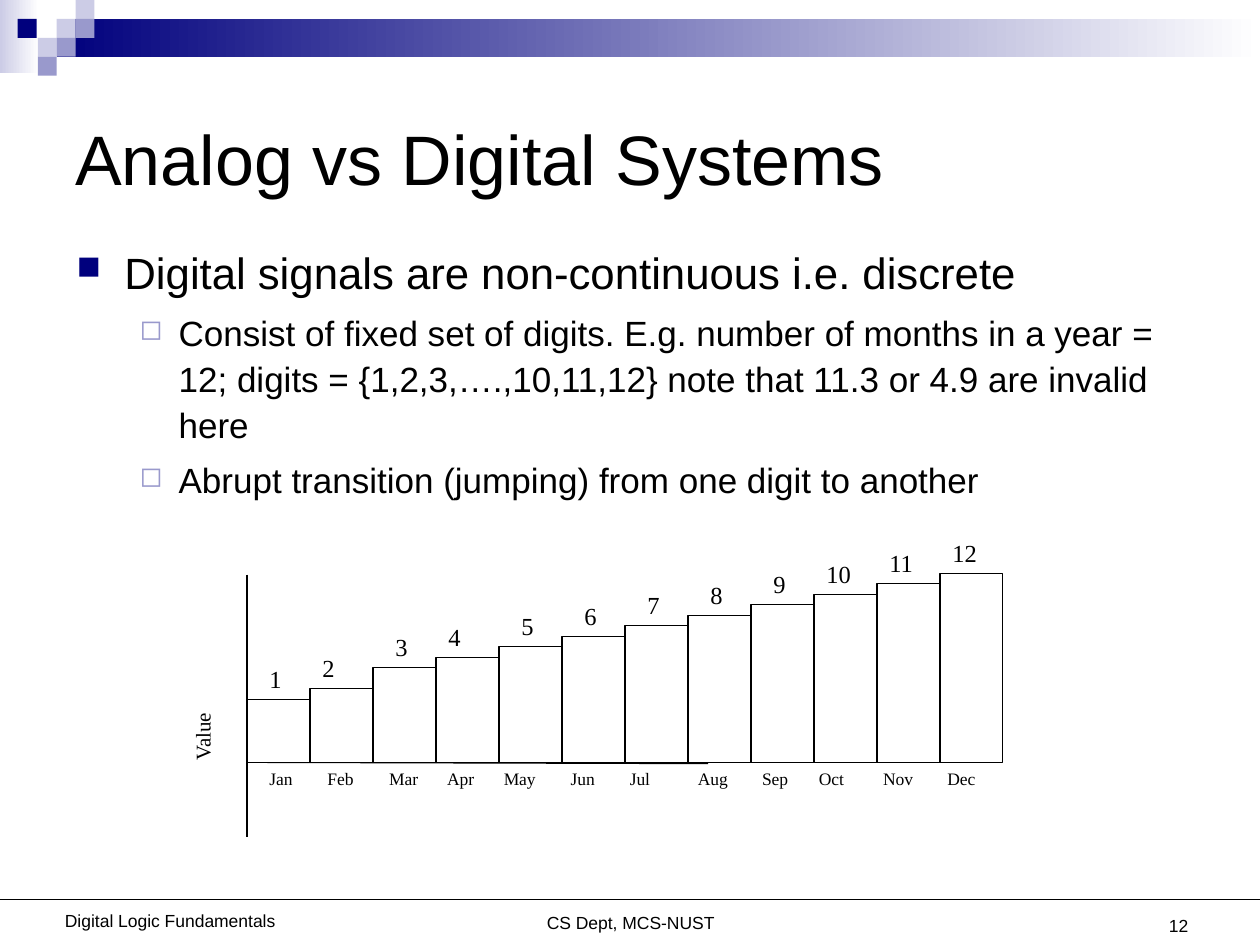
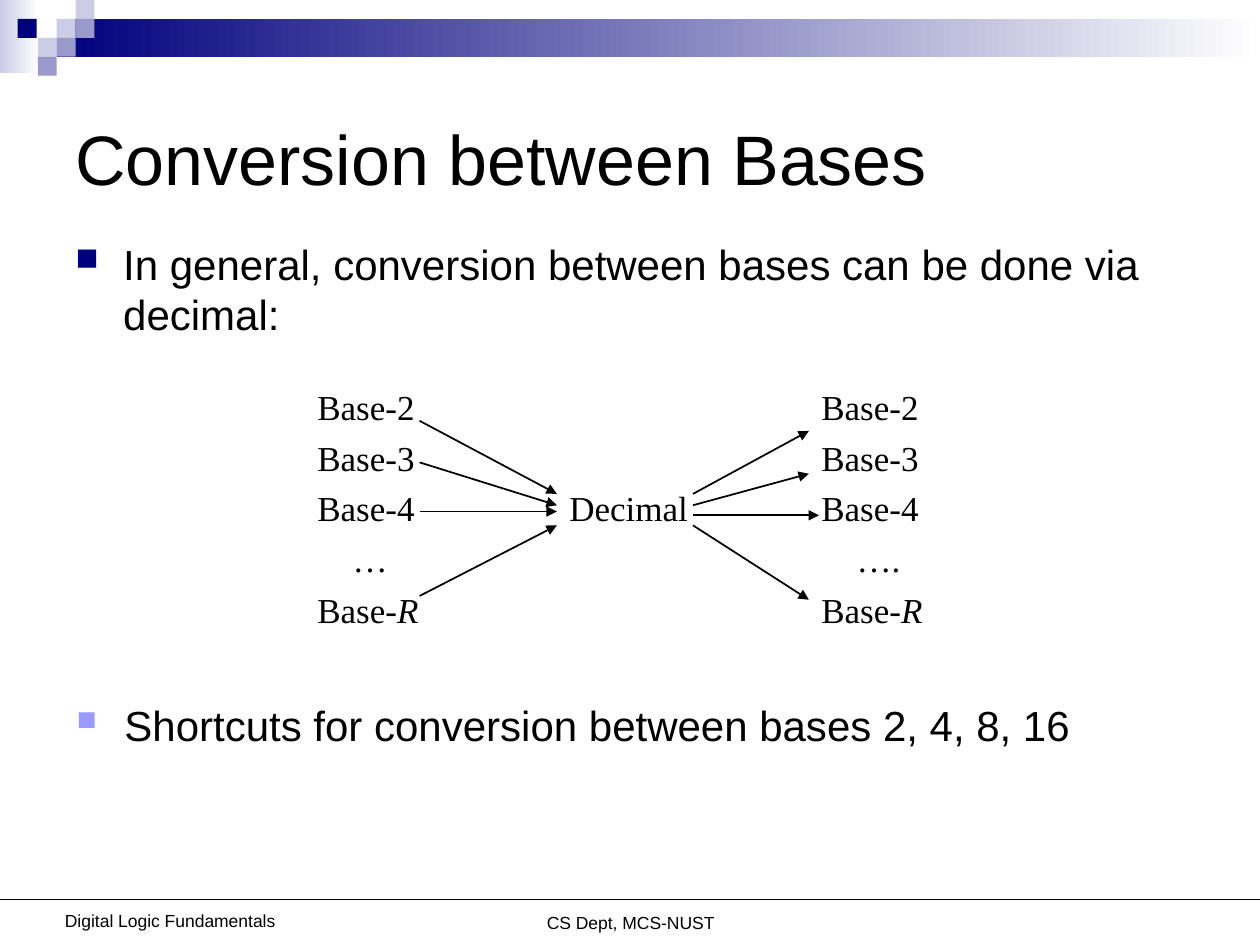
from lxml import etree
from pptx import Presentation
from pptx.dml.color import RGBColor
from pptx.enum import shapes, text
from pptx.oxml.ns import qn
from pptx.util import Inches, Pt

BLACK = RGBColor(0x00, 0x00, 0x00)
WHITE = RGBColor(0xFF, 0xFF, 0xFF)
NAVY = RGBColor(0x00, 0x00, 0x7D)
LILAC = RGBColor(0x99, 0x99, 0xCC)
PALE = RGBColor(0xCC, 0xCC, 0xE6)
VIOLET = RGBColor(0x99, 0x99, 0xFF)
SANS, SERIF = "Arial", "Times New Roman"
LEFT, CENTER, RIGHT = text.PP_ALIGN.LEFT, text.PP_ALIGN.CENTER, text.PP_ALIGN.RIGHT
TOP, MIDDLE, BOTTOM = (text.MSO_ANCHOR.TOP, text.MSO_ANCHOR.MIDDLE,
                       text.MSO_ANCHOR.BOTTOM)


def put_text(s, lines, box, size=10, font=SANS, align=LEFT, anchor=TOP,
             before=0, spacing=None, bullet=None, indent=(0, 0), tabs=()):
    """Add a text box; a line is a string or (string, own format); *x* is italic."""
    sp = s.shapes.add_textbox(*map(Inches, box))
    tf = sp.text_frame
    tf.word_wrap, tf.vertical_anchor = True, anchor
    base = dict(size=size, before=before, bullet=bullet, indent=indent, tabs=tabs)
    for i, line in enumerate(lines):
        line, own = (line, {}) if isinstance(line, str) else line
        fmt = {**base, **own}
        p = tf.paragraphs[0] if i == 0 else tf.add_paragraph()
        pPr = p._p.get_or_add_pPr()
        if fmt["bullet"]:
            char, color, percent = fmt["bullet"]
            margin, hang = fmt["indent"]
            pPr.set("marL", str(Inches(margin)))
            pPr.set("indent", str(Inches(hang)))
            clr = etree.SubElement(pPr, qn("a:buClr"))
            etree.SubElement(clr, qn("a:srgbClr"), val=str(color))
            etree.SubElement(pPr, qn("a:buSzPct"), val=str(percent * 1000))
            etree.SubElement(pPr, qn("a:buChar"), char=char)
        if fmt["tabs"]:
            stops = etree.SubElement(pPr, qn("a:tabLst"))
            for pos in fmt["tabs"]:
                etree.SubElement(stops, qn("a:tab"), pos=str(Inches(pos)), algn="l")
        p.alignment = align
        if spacing:
            p.line_spacing = spacing
        if i:
            p.space_before = Pt(fmt["before"])
        for j, part in enumerate(line.split("*")):
            if part:
                r = p.add_run()
                r.text = part
                r.font.name, r.font.size = font, Pt(fmt["size"])
                r.font.color.rgb = BLACK
                if j % 2:
                    r.font.italic = True
    return sp


def add_line(s, x1, y1, x2, y2, width=0.75, arrow=False):
    c = s.shapes.add_connector(shapes.MSO_CONNECTOR.STRAIGHT,
                               *map(Inches, (x1, y1, x2, y2)))
    c.line.color.rgb, c.line.width = BLACK, Pt(width)
    spPr = c._element.spPr
    if arrow:
        etree.SubElement(spPr.find(qn("a:ln")), qn("a:tailEnd"), type="triangle")
    etree.SubElement(spPr, qn("a:effectLst"))


prs = Presentation()
prs.slide_width, prs.slide_height = Inches(10), Inches(7.5)

# Shared header, title and footer
SQ = 0.15
BANDS = [((0, 0, 0.31, 0.58), PALE), ((0.45, SQ, 9.55, 0.3), NAVY)]
SQUARES = [(0.45, 0.15, PALE), (0.6, 0, PALE), (0.6, 0.15, LILAC), (0.3, 0.3, PALE),
           (0.14, 0.15, NAVY), (0.45, 0.3, LILAC), (0.3, 0.45, LILAC)]
slides = []
for title in ("Analog vs Digital Systems", "Conversion between Bases"):
    s = prs.slides.add_slide(prs.slide_layouts[6])
    slides.append(s)
    for box, color in BANDS:
        sp = s.shapes.add_shape(shapes.MSO_SHAPE.RECTANGLE, *map(Inches, box))
        sp.shadow.inherit = False
        sp.line.fill.background()
        sp.fill.gradient()
        sp.fill.gradient_angle = 0
        for stop, rgb in zip(sp.fill.gradient_stops, (color, WHITE)):
            stop.color.rgb = rgb
    for x, y, color in SQUARES:
        sp = s.shapes.add_shape(shapes.MSO_SHAPE.RECTANGLE,
                                *map(Inches, (x, y, SQ, SQ)))
        sp.shadow.inherit = False
        sp.line.fill.background()
        sp.fill.solid()
        sp.fill.fore_color.rgb = color
    put_text(s, ["CS Dept, MCS-NUST"], (2.92, 7.19, 4.17, 0.27), align=CENTER)
    put_text(s, ["Digital Logic Fundamentals"], (0.35, 7.17, 2, 0.27), align=CENTER)
    add_line(s, 0, 7.14, 10, 7.14)
    put_text(s, [title], (0.5, 0.5, 9, 1.5), size=40, anchor=MIDDLE)

# Slide 1: digital signals
s = slides[0]
put_text(s, ["12"], (7.2, 6.98, 2.33, 0.5), align=RIGHT, anchor=BOTTOM)
sub = dict(size=20, before=5, bullet=("◻", LILAC, 80), indent=(0.81, -0.31))
put_text(s, [
    "Digital signals are non-continuous i.e. discrete",
    ("Consist of fixed set of digits. E.g. number of months in a year = 12; "
     "digits = {1,2,3,….,10,11,12} note that 11.3 or 4.9 are invalid here", sub),
    ("Abrupt transition (jumping) from one digit to another", sub),
], (0.51, 1.86, 9, 4.25), size=25, spacing=1.1,
    bullet=("■", NAVY, 75), indent=(0.38, -0.38))

# Step diagram: axes, then one bar and value per month
AXIS_X, BASE_Y, BAR_W = 1.96, 6.05, 0.5
add_line(s, AXIS_X, 4.56, AXIS_X, 6.64)
add_line(s, AXIS_X, BASE_Y, 5.62, 6.06)
for value in range(1, 13):
    x = AXIS_X + (value - 1) * BAR_W
    height = (value + (5 if value < 3 else 6)) / 12
    top = BASE_Y - height
    sp = s.shapes.add_shape(shapes.MSO_SHAPE.RECTANGLE,
                            *map(Inches, (x, top, BAR_W, height)))
    sp.shadow.inherit = False
    sp.fill.solid()
    sp.fill.fore_color.rgb = WHITE
    sp.line.color.rgb, sp.line.width = BLACK, Pt(0.75)
    shift = 0 if value in (2, 4, 10, 11, 12) else 0.08
    put_text(s, [str(value)], (x + shift, top - 0.33, 0.42, 0.34), size=14, font=SERIF)
put_text(s, ["Jan\tFeb\tMar\tApr\tMay\tJun\tJul\tAug\tSep\tOct\tNov\tDec"],
         (2.04, BASE_Y, 6.16, 0.27), font=SERIF,
         tabs=(0.46, 0.95, 1.41, 1.86, 2.39, 2.86, 3.4, 3.91, 4.36, 4.87, 5.38))
put_text(s, ["Value"], (1.23, 5.61, 0.75, 0.3), size=12, font=SERIF).rotation = 270

# Slide 2: bullets
s = slides[1]
for line, box, bullet in (
    ("In general, conversion between bases can be done via decimal:",
     (0.5, 1.84, 9, 1.25), ("■", NAVY, 75)),
    ("Shortcuts for conversion between bases 2, 4, 8, 16",
     (0.51, 5.5, 9, 1.17), ("■", VIOLET, 65)),
):
    put_text(s, [line], box, size=24, bullet=bullet, indent=(0.38, -0.38))

# Conversion diagram: three columns of text set on tabs
put_text(s, [
    "Base-2\t\tBase-2",
    "Base-3\t\tBase-3",
    "Base-4\tDecimal\tBase-4",
    ("\t…\t….", dict(tabs=(0.28, 4.28))),
    "Base-*R*\t\tBase-*R*",
], (2.42, 3.01, 5.3, 2.05), size=20, font=SERIF, before=5, tabs=(2, 4))

# Arrows into and out of Decimal
for y1, y2 in ((3.34, 3.92), (3.67, 4.01), (4.06, 4.06), (4.73, 4.17)):
    add_line(s, 3.33, y1, 4.42, y2, width=1, arrow=True)
for y1, x2, y2 in ((3.92, 6.42, 3.42), (4.01, 6.42, 3.76),
                   (4.09, 6.5, 4.09), (4.17, 6.42, 4.76)):
    add_line(s, 5.5, y1, x2, y2, width=1, arrow=True)

prs.save("out.pptx")
